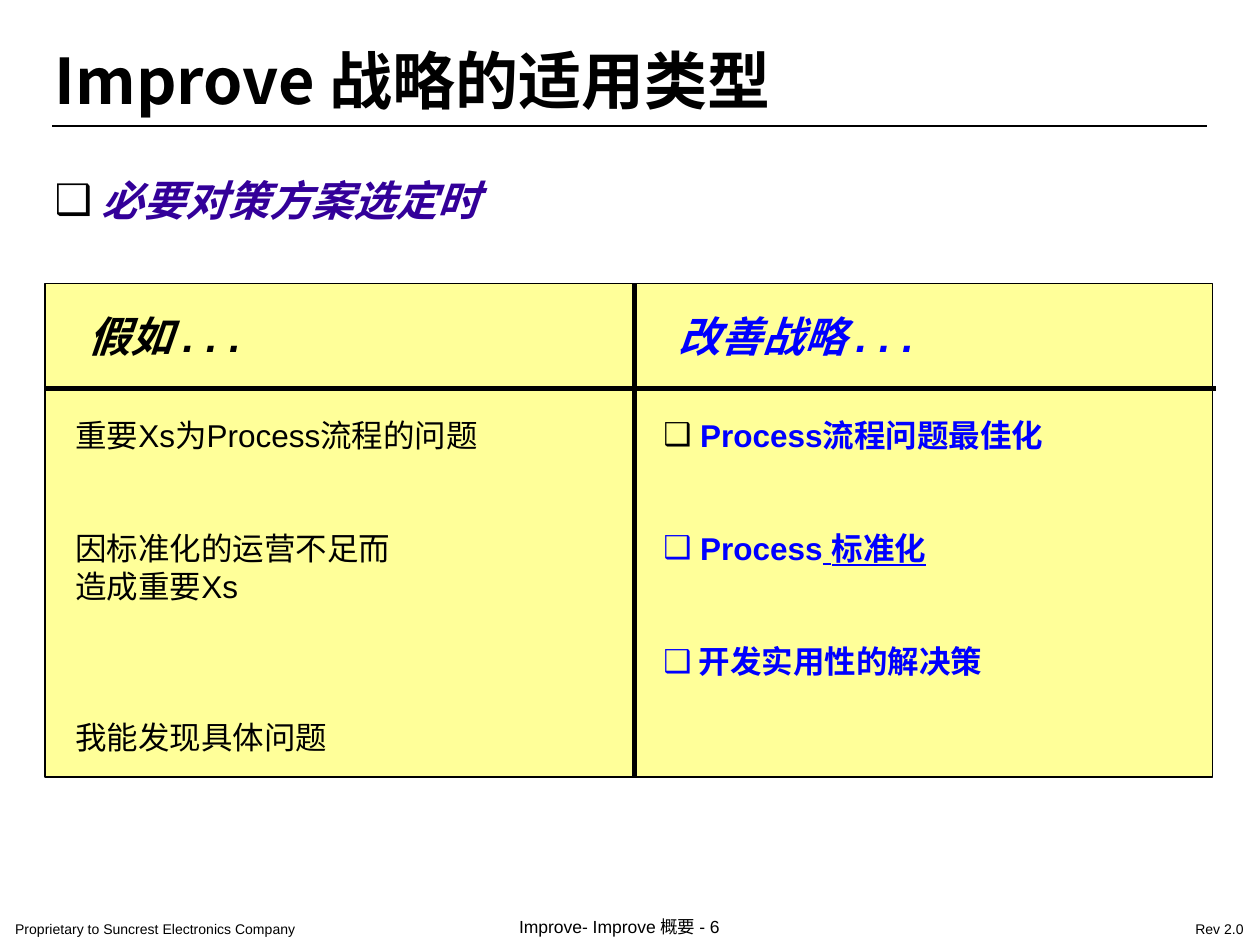
"""Build the slide on types of Improve strategy, on a grid of twelfths of an inch."""
from dataclasses import dataclass
from typing import Optional

from lxml import etree
from pptx import Presentation
from pptx import util as u
from pptx.dml.color import RGBColor
from pptx.enum import shapes, text
from pptx.oxml.ns import qn

COLUMNS, ROWS = 120, 90
BLACK = RGBColor(0, 0, 0)
BLUE = RGBColor(0, 0, 255)
PURPLE = RGBColor(0x33, 0, 0x99)
YELLOW = RGBColor(0xFF, 0xFF, 0x99)
LATIN, CHINESE, KOREAN = "Arial", "Noto Sans CJK SC", "Noto Sans CJK KR"
LEADING = 1.2

deck = Presentation()
deck.slide_width, deck.slide_height = u.Inches(10), u.Inches(7.5)


@dataclass(frozen=True)
class Area:
    """A rectangle in grid columns and rows."""
    column: float
    row: float
    width: float
    height: float

    def lengths(self) -> tuple:
        """Return left, top, width and height as slide lengths."""
        return (across(self.column), down(self.row),
                across(self.width), down(self.height))


@dataclass(frozen=True)
class Style:
    """The look of a run of text."""
    size: float
    color: RGBColor = BLACK
    bold: bool = False
    italic: bool = False
    latin: str = LATIN
    asian: str = CHINESE


@dataclass(frozen=True)
class Line:
    """A paragraph: plain and underlined words, lines of gap above, bullet colour."""
    words: str
    underlined: str = ""
    gap: int = 0
    bullet: Optional[RGBColor] = None


@dataclass(frozen=True)
class Block:
    """A text box with its lines."""
    area: Area
    style: Style
    lines: tuple
    inset: tuple = (0.1, 0.05)
    wrap: bool = True


@dataclass(frozen=True)
class Rule:
    """A straight line between two grid points."""
    start: tuple
    end: tuple
    weight: float


FOOTER_INSET = (0.12, 0.06)
SMALL = Style(8)
BODY = Style(18)
STRATEGY = Style(18, BLUE, bold=True)
TITLE = Style(36, bold=True, latin=CHINESE)
SUBTITLE = Style(24, PURPLE, True, True, KOREAN, KOREAN)

PANEL = Area(4.3, 27, 111.2, 47)
RULES = (
    Rule((5, 12), (115, 12), 0.75),
    Rule((4.3, 37), (115.8, 37), 3),
    Rule((60.4, 27), (60.4, 74), 3),
)
BLOCKS = (
    Block(Area(0, 86.9, 38.5, 3), SMALL,
          (Line("Proprietary to Suncrest Electronics Company"),), FOOTER_INSET),
    Block(Area(48, 86.5, 29.5, 3.5), Style(10),
          (Line("Improve- Improve 概要 - 6"),), FOOTER_INSET),
    Block(Area(112.4, 86.9, 7.6, 3), SMALL, (Line("Rev 2.0"),), FOOTER_INSET, False),
    Block(Area(7.3, 29, 45.8, 6), Style(24, BLACK, True, True), (Line("假如 . . ."),)),
    Block(Area(63.4, 29, 41, 6), Style(24, BLUE, True, True), (Line("改善战略 . . ."),)),
    Block(Area(6, 39, 54, 37.2), BODY, (
        Line("重要Xs为Process流程的问题"),
        Line("因标准化的运营不足而", gap=2),
        Line("造成重要Xs"),
        Line("我能发现具体问题", gap=3),
    )),
    Block(Area(62, 39, 52, 30), STRATEGY, (
        Line(" Process流程问题最佳化", bullet=BLACK),
        Line(" Process", " 标准化", 2, BLUE),
        Line(" 开发实用性的解决策", gap=2, bullet=BLUE),
    )),
)


def across(columns: float) -> int:
    """Turn columns into a length."""
    return int(deck.slide_width * columns / COLUMNS)


def down(rows: float) -> int:
    """Turn rows into a length."""
    return int(deck.slide_height * rows / ROWS)


def add_span(para, words: str, style: Style, underline: bool = False) -> None:
    """Add one formatted run."""
    span = para.add_run()
    span.text = words
    font = span.font
    font.size, font.name = u.Pt(style.size), style.latin
    font.bold, font.italic = style.bold, style.italic
    font.underline = underline
    font.color.rgb = style.color
    asian = etree.Element(qn("a:ea"), typeface=style.asian)
    font._element.find(qn("a:latin")).addnext(asian)


def set_bullet(para, color: Optional[RGBColor]) -> None:
    """Give the paragraph a box bullet, or none, without indent."""
    properties = para._p.get_or_add_pPr()
    properties.set("marL", "0")
    properties.set("indent", "0")
    if color is None:
        etree.SubElement(properties, qn("a:buNone"))
        return
    paint = etree.SubElement(properties, qn("a:buClr"))
    etree.SubElement(paint, qn("a:srgbClr"), val=str(color))
    etree.SubElement(properties, qn("a:buFont"), typeface=LATIN)
    etree.SubElement(properties, qn("a:buChar"), char="❑")


def write(box, block: Block) -> None:
    """Place a box and fill it with the lines of a block."""
    box.left, box.top, box.width, box.height = block.area.lengths()
    frame = box.text_frame
    frame.auto_size = text.MSO_AUTO_SIZE.NONE
    frame.word_wrap = block.wrap
    frame.margin_left = frame.margin_right = u.Inches(block.inset[0])
    frame.margin_top = frame.margin_bottom = u.Inches(block.inset[1])
    pitch = block.style.size * LEADING
    for index, line in enumerate(block.lines):
        para = frame.add_paragraph() if index else frame.paragraphs[0]
        set_bullet(para, line.bullet)
        para.alignment = text.PP_ALIGN.LEFT
        para.line_spacing = u.Pt(pitch)
        para.space_before = u.Pt(line.gap * pitch)
        add_span(para, line.words, block.style)
        if line.underlined:
            add_span(para, line.underlined, block.style, True)


def draw_panel(page, area: Area) -> None:
    """Draw the yellow panel behind both columns."""
    panel = page.shapes.add_shape(shapes.MSO_SHAPE.RECTANGLE, *area.lengths())
    panel.shadow.inherit = False
    panel.fill.solid()
    panel.fill.fore_color.rgb = YELLOW
    panel.line.color.rgb = BLACK
    panel.line.width = u.Pt(0.75)


def draw_rule(page, rule: Rule) -> None:
    """Draw a black straight line."""
    (left, top), (right, bottom) = rule.start, rule.end
    stroke = page.shapes.add_connector(
        shapes.MSO_CONNECTOR.STRAIGHT, across(left), down(top), across(right), down(bottom))
    stroke.line.color.rgb = BLACK
    stroke.line.width = u.Pt(rule.weight)
    etree.SubElement(stroke._element.spPr, qn("a:effectLst"))


def main() -> None:
    """Build and save the deck."""
    page = deck.slides.add_slide(deck.slide_layouts[1])
    title, subtitle = page.placeholders
    write(title, Block(Area(4, 4.3, 110.5, 6.5), TITLE, (Line("Improve 战略的适用类型"),)))
    title.text_frame.vertical_anchor = text.MSO_ANCHOR.MIDDLE
    title.text_frame.paragraphs[0].line_spacing = 1.0
    write(subtitle, Block(Area(4, 16, 76.8, 5.9), SUBTITLE,
                          (Line(" 必要对策方案选定时", bullet=BLACK),)))
    draw_panel(page, PANEL)
    for rule in RULES:
        draw_rule(page, rule)
    for block in BLOCKS:
        write(page.shapes.add_textbox(*block.area.lengths()), block)
    deck.save("out.pptx")


if __name__ == "__main__":
    main()
